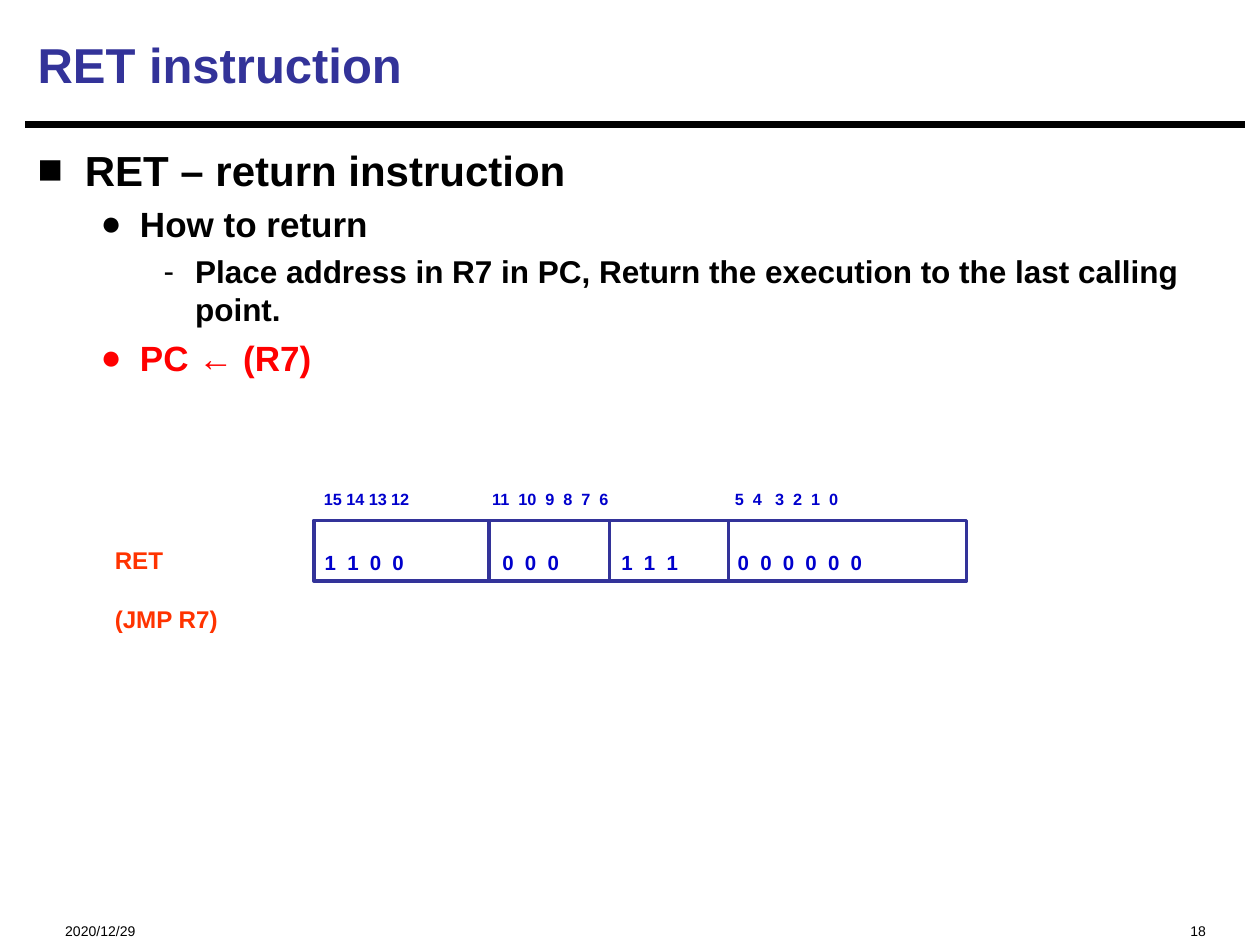
from lxml.etree import SubElement
from pptx import Presentation
from pptx.dml.color import RGBColor as Color
from pptx.enum.shapes import MSO_CONNECTOR as Link, MSO_SHAPE as Preset
from pptx.enum.text import MSO_ANCHOR as Anchor, PP_ALIGN as Align
from pptx.oxml.ns import qn
from pptx.util import Pt

COLORS = {"black": "000000", "title": "333399", "bits": "0000CC",
          "name": "FF3300", "red": "FF0000"}


class Page:
    font = "Arial"

    def __init__(self, deck):
        self.shapes = deck.slides.add_slide(deck.slide_layouts[6]).shapes

    def color(self, name):
        return Color.from_string(COLORS[name])

    def line(self, x1, y1, x2, y2, color, width):
        line = self.shapes.add_connector(Link.STRAIGHT, Pt(x1), Pt(y1), Pt(x2), Pt(y2))
        line.line.color.rgb = self.color(color)
        line.line.width = Pt(width)
        SubElement(line._element.spPr, qn("a:effectLst"))

    def frame(self, left, top, width, height, color, weight):
        frame = self.shapes.add_shape(Preset.RECTANGLE, Pt(left), Pt(top), Pt(width), Pt(height))
        frame.shadow.inherit = False
        frame.fill.background()
        frame.line.color.rgb = self.color(color)
        frame.line.width = Pt(weight)

    def box(self, left, top, width, height, anchor=Anchor.BOTTOM):
        text = self.shapes.add_textbox(Pt(left), Pt(top), Pt(width), Pt(height)).text_frame
        text.word_wrap = True
        text.margin_left = text.margin_right = Pt(7.2)
        text.margin_top = text.margin_bottom = 0
        text.vertical_anchor = anchor
        return text

    def para(self, box, text, size, color, bold=True, align=Align.LEFT,
             before=0, bullet=None, tabs=()):
        first = box.paragraphs[0]
        para = box.add_paragraph() if first.runs else first
        para.text = text
        para.alignment = align
        if para is not first:
            para.space_before = Pt(before)
        props = para._p.get_or_add_pPr()
        if bullet:
            char, margin, hang = bullet
            props.set("marL", str(Pt(margin)))
            props.set("indent", str(-Pt(hang)))
            SubElement(SubElement(props, qn("a:buClr")), qn("a:srgbClr"), val=COLORS[color])
            SubElement(props, qn("a:buFont"), typeface=self.font)
            SubElement(props, qn("a:buChar"), char=char)
        if tabs:
            stops = SubElement(props, qn("a:tabLst"))
            for stop in tabs:
                SubElement(stops, qn("a:tab"), pos=str(Pt(stop)), algn="l")
        para.font.name = self.font
        para.font.size = Pt(size)
        para.font.bold = bold
        para.font.color.rgb = self.color(color)

    def digits(self, left, top, width, height, text, size, tabs):
        box = self.box(left, top, width, height)
        self.para(box, "\t".join(text.split()), size, "bits", tabs=tabs)


def main():
    deck = Presentation()
    deck.slide_width, deck.slide_height = Pt(720), Pt(540)
    page = Page(deck)

    page.line(14.4, 71.3, 711.4, 71.3, "black", 3.75)
    for left, width, text, align in ((30.2, 180, "2020/12/29", Align.LEFT),
                                     (480.2, 216, "18", Align.RIGHT)):
        page.para(page.box(left, 515, width, 22), text, 8, "black", False, align)
    page.para(page.box(14.4, 6.5, 696, 60.5, Anchor.MIDDLE), "RET instruction", 28, "title")

    body = page.box(14.4, 82.5, 696, 426, Anchor.TOP)
    square, dot, dash = ("■", 27, 27), ("●", 58.5, 22.5), ("-", 90, 18)
    for text, size, color, bullet in (
            ("RET – return instruction", 24, "black", square),
            ("How to return", 20, "black", dot),
            ("Place address in R7 in PC, Return the execution to the last calling point.",
             18, "black", dash),
            ("PC ← (R7)", 20, "red", dot)):
        page.para(body, text, size, color, before=4.5, bullet=bullet)

    top, height = 297.4, 34.6
    page.frame(179.3, top, 373, height, "title", 2)
    for x in (279.3, 348.2, 416.2):
        page.line(x, top + height, x, top, "title", 2)

    bit_tabs = [12.9 * step for step in range(1, 6)]
    for left, width, bits in ((178.5, 100, "1 1 0 0"), (280, 68, "0 0 0"),
                              (348, 68, "1 1 1"), (414.5, 136, "0 0 0 0 0 0")):
        page.digits(left, top, width, 31, bits, 11.7, bit_tabs)

    page.para(page.box(178, 265, 100, 25.5), "15 14 13 12", 9.3, "bits")
    for left, numbers, tabs in ((274.2, "11 10 9 8 7 6", (15, 30.3, 40.6, 50.9, 61.2)),
                                (412.8, "5 4 3 2 1 0", (10.3, 23, 33.3, 43.6, 53.9))):
        page.digits(left, 265, 140, 25.5, numbers, 9.3, tabs)

    names = page.box(58.5, 292, 118, 70)
    for text in ("RET", "(JMP R7)"):
        page.para(names, text, 13.8, "name", before=17.3)

    deck.save("out.pptx")


if __name__ == "__main__":
    main()
